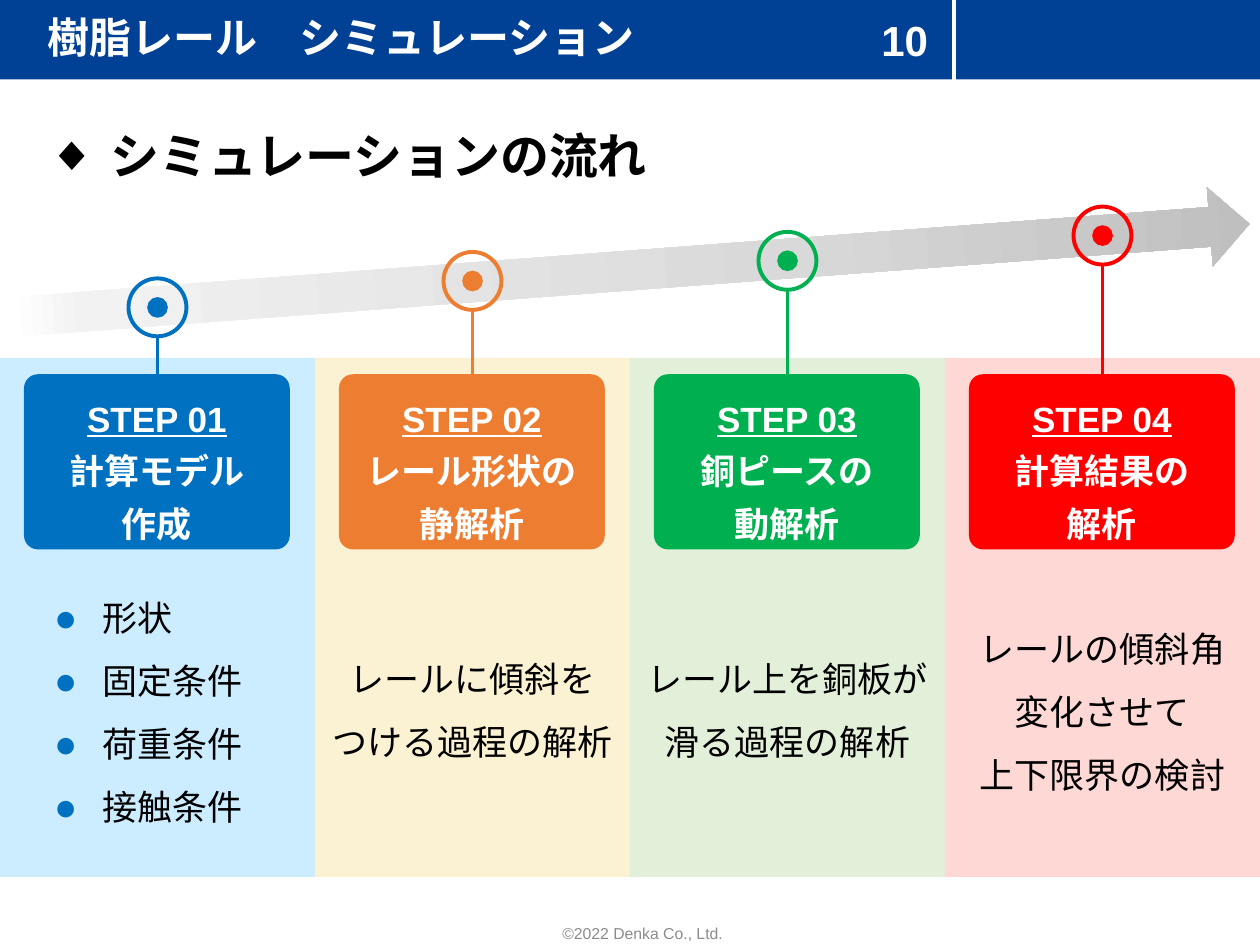
"""Build the four-step simulation flow slide."""
from copy import deepcopy
from dataclasses import dataclass

from lxml import etree
from pptx import Presentation
from pptx.dml.color import RGBColor
from pptx.enum.shapes import MSO_CONNECTOR as Link, MSO_SHAPE as Shape
from pptx.enum.text import MSO_ANCHOR as Anchor, MSO_AUTO_SIZE as AutoSize, PP_ALIGN as Align
from pptx.oxml.ns import qn
from pptx.util import Inches, Pt


@dataclass(frozen=True)
class Theme:
    font: str = "Arial"
    navy: str = "004196"
    white: str = "FFFFFF"
    black: str = "000000"
    gray: str = "8C8C8C"
    accents: tuple = ("0070C0", "ED7D31", "00B050", "FF0000")
    tints: tuple = ("CCECFF", "FAF2D2", "E2F0D9", "FDD8D5")
    arrow: tuple = ((0, "FFFFFF"), (0.06, "F2F2F2"), (0.62, "D9D9D9"), (1, "BFBFBF"))
    title: int = 24
    heading: int = 28
    body: int = 20
    footer: int = 9


theme = Theme()
deck = Presentation()
deck.slide_width, deck.slide_height = Inches(10), Inches(7.5)
page = deck.slides.add_slide(deck.slide_layouts[1])


def draw(kind, place, fill=None, line=None, weight=1):
    shape = page.shapes.add_shape(kind, *map(Inches, place))
    shape.shadow.inherit = False
    if fill:
        shape.fill.solid()
        shape.fill.fore_color.rgb = RGBColor.from_string(fill)
    else:
        shape.fill.background()
    if line:
        shape.line.color.rgb = RGBColor.from_string(line)
        shape.line.width = Pt(weight)
    else:
        shape.line.fill.background()
    return shape


def write(shape, lines, size, color, bold=False, anchor=Anchor.MIDDLE, layout=None, bullet=None):
    frame = shape.text_frame
    frame.text = "\n".join(lines)
    for name, value in {"word_wrap": True, "auto_size": AutoSize.NONE, "vertical_anchor": anchor}.items():
        setattr(frame, name, value)
    for para in frame.paragraphs:
        if bullet:
            char, indent, marks = bullet
            props = para._p.get_or_add_pPr()
            props.set("marL", str(Inches(indent)))
            props.set("indent", str(-Inches(indent)))
            if marks:
                tint = etree.SubElement(props, qn("a:buClr"))
                etree.SubElement(tint, qn("a:srgbClr"), val=marks)
                etree.SubElement(props, qn("a:buSzPct"), val="110000")
            etree.SubElement(props, qn("a:buFont"), typeface=theme.font)
            etree.SubElement(props, qn("a:buChar"), char=char)
        for name, value in {"space_before": Pt(0), **(layout or {})}.items():
            setattr(para, name, value)
        for span in para.runs:
            for name, value in {"name": theme.font, "size": Pt(size), "bold": bold}.items():
                setattr(span.font, name, value)
            span.font.color.rgb = RGBColor.from_string(color)
    return frame


centered = {"alignment": Align.CENTER}
column = 2.5
card_top = 2.97
ring = 0.46
dot = 0.15
steps = [
    (2.21, ["計算モデル", "作成"], ["形状", "固定条件", "荷重条件", "接触条件"], (0.33, 4.54, 1.85, 2.06)),
    (2.0, ["レール形状の", "静解析"], ["レールに傾斜を", "つける過程の解析"], (2.52, 5.03, 2.46, 1.05)),
    (1.84, ["銅ピースの", "動解析"], ["レール上を銅板が滑る過程の解析"], (5.02, 5.03, 2.46, 1.05)),
    (1.64, ["計算結果の", "解析"], ["レールの傾斜角", "変化させて", "上下限界の検討"], (7.52, 4.79, 2.46, 1.55)),
]

draw(Shape.RECTANGLE, (-0.01, -0.03, 10.01, 0.66), theme.navy)
for index, tint in enumerate(theme.tints):
    draw(Shape.RECTANGLE, (index * column, 2.84, column, 4.12), tint)

arrow = draw(Shape.RIGHT_ARROW, (0.12, 1.83, 9.81, 0.63), theme.white)
arrow.rotation = 355.7
arrow.fill.gradient()
arrow.fill.gradient_angle = 0
stop_list = arrow.element.spPr.find(qn("a:gradFill")).find(qn("a:gsLst"))
for extra in range(len(theme.arrow) - len(stop_list)):
    stop_list.append(deepcopy(stop_list[0]))
for stop, (position, color) in zip(arrow.fill.gradient_stops, theme.arrow):
    stop.position = position
    stop.color.rgb = RGBColor.from_string(color)

title, conditions = page.shapes.title, page.placeholders[1]
rules = [(7.57, -0.03, 0.72, theme.white)]
for index, (ring_top, name, details, place) in enumerate(steps):
    accent = theme.accents[index]
    center = (index + 0.5) * column
    dot_top = ring_top + (ring - dot) / 2
    draw(Shape.OVAL, (center - dot / 2, dot_top, dot, dot), accent, accent)
    draw(Shape.OVAL, (center - ring / 2, ring_top, ring, ring), None, accent, 2.25)
    rules.append((center, card_top, ring_top + ring, accent))

    card = draw(Shape.ROUNDED_RECTANGLE, (0.19 + index * column, card_top, 2.11, 1.39), accent)
    card.adjustments[0] = 0.08
    frame = write(card, [f"STEP {index + 1:02}", *name], theme.body, theme.white, True, Anchor.TOP,
                  {**centered, "space_after": Pt(6)})
    frame.paragraphs[0].line_spacing = 1.3
    frame.paragraphs[0].runs[0].font.underline = True

    spacing = {"line_spacing": 1.5}
    if index == 0:
        for side, value in zip(("left", "top", "width", "height"), place):
            setattr(conditions, side, Inches(value))
        write(conditions, details, theme.body, theme.black, layout=spacing, bullet=("●", 0.38, accent))
    else:
        box = page.shapes.add_textbox(*map(Inches, place))
        write(box, details, theme.body, theme.black, layout={**centered, **spacing})

for x, start, end, color in rules:
    rule = page.shapes.add_connector(Link.STRAIGHT, *map(Inches, (x, start, x, end)))
    rule.line.color.rgb = RGBColor.from_string(color)
    rule.line.width = Pt(2.25)
    etree.SubElement(rule.element.spPr, qn("a:effectLst"))

for side, value in zip(("left", "top", "width", "height"), (0.28, 0, 6.51, 0.63)):
    setattr(title, side, Inches(value))
write(title, ["樹脂レール　シミュレーション"], theme.title, theme.white, True,
      layout={"alignment": Align.LEFT, "line_spacing": 0.9})
for holder in (title, conditions):
    holder.element.getparent().append(holder.element)

number = page.shapes.add_textbox(*map(Inches, (6.85, 0, 0.66, 0.63)))
write(number, ["10"], theme.title, theme.white, True, layout=centered)
heading = page.shapes.add_textbox(*map(Inches, (0.28, 0.95, 9.43, 0.57)))
write(heading, ["シミュレーションの流れ"], theme.heading, theme.black, True, Anchor.TOP, bullet=("◆", 0.5, None))
footer = page.shapes.add_textbox(*map(Inches, (3.41, 7.13, 3.38, 0.4)))
write(footer, ["©2022 Denka Co., Ltd."], theme.footer, theme.gray, anchor=Anchor.BOTTOM, layout=centered)

deck.save("out.pptx")
